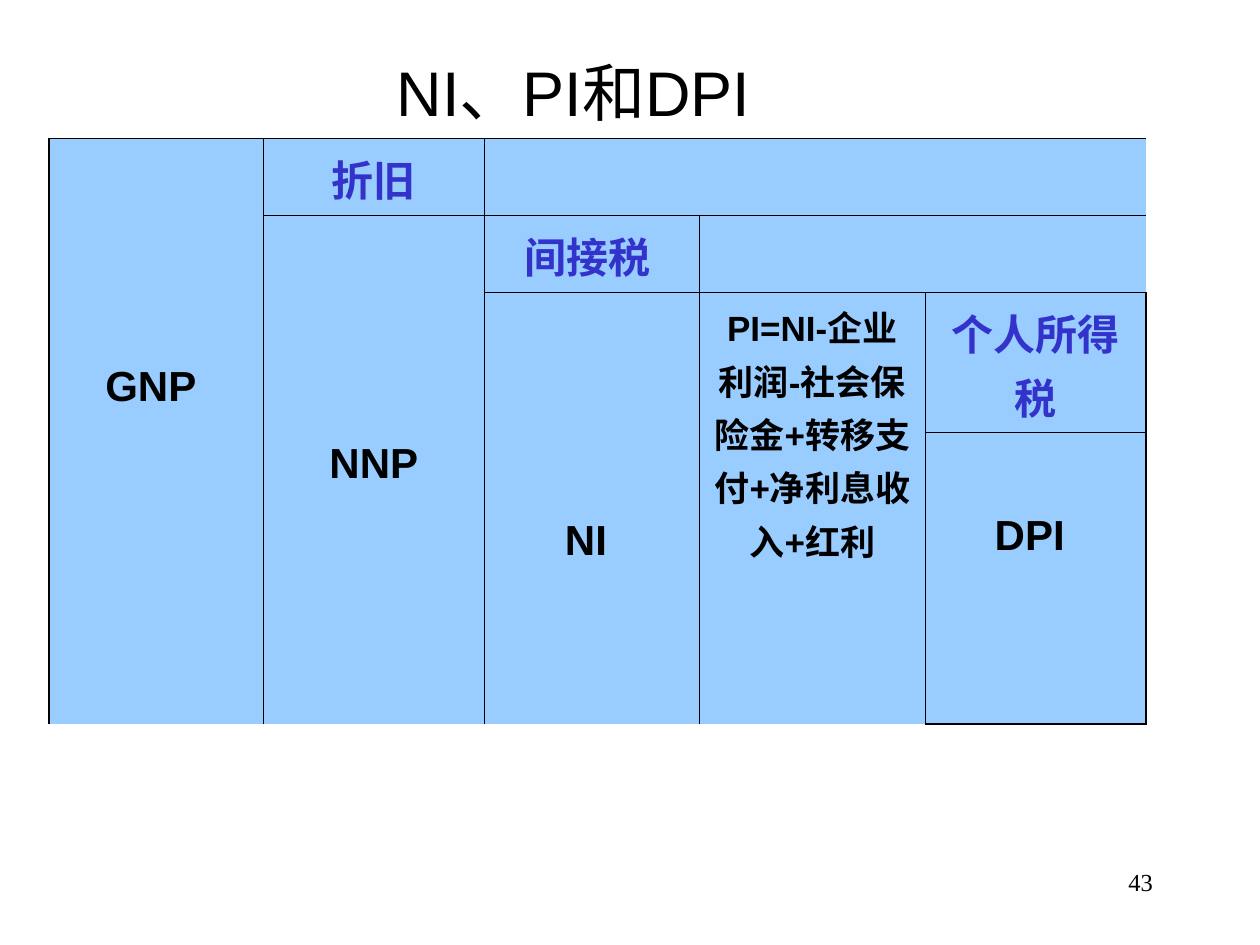
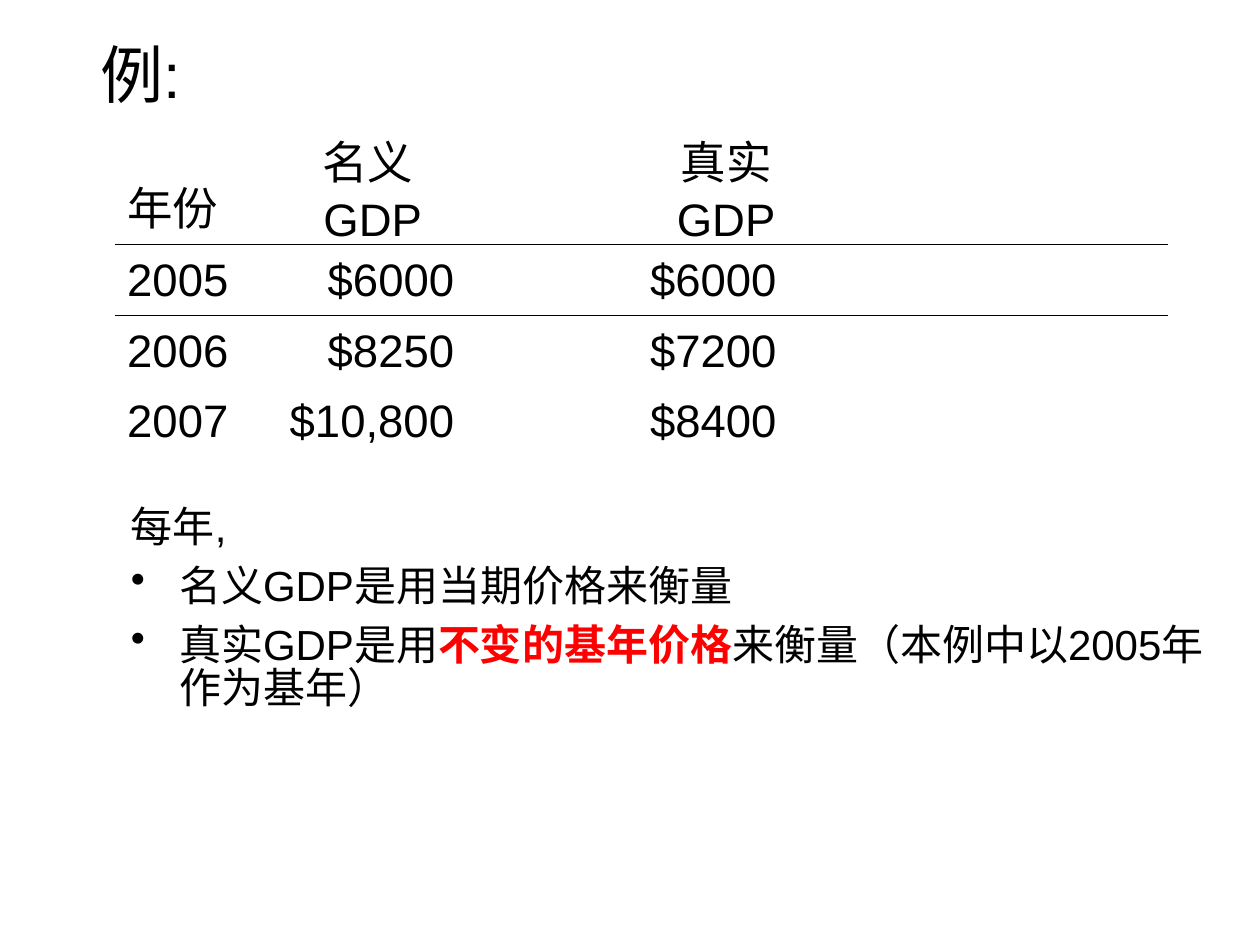
"""Two economics slides: from GNP to DPI, and nominal against real GDP."""
from lxml import etree
from pptx import Presentation
from pptx.dml.color import RGBColor
from pptx.enum.text import MSO_ANCHOR, PP_ALIGN
from pptx.oxml.ns import qn
from pptx.util import Cm, Pt

LEFT, CENTER, RIGHT = PP_ALIGN.LEFT, PP_ALIGN.CENTER, PP_ALIGN.RIGHT
TOP, MIDDLE, BOTTOM = MSO_ANCHOR.TOP, MSO_ANCHOR.MIDDLE, MSO_ANCHOR.BOTTOM
COLORS = {"text": "000000", "cell": "99CCFF", "deduction": "3333CC", "accent": "FF0000"}
THIN, THICK = 0.45, 1.08
PLAIN_TABLE = "{2D5ABB26-0587-4C30-8999-92F81FD0307C}"


class Deck:
    """Holds the shared style and the slide being built."""

    def __init__(self):
        self.presentation = Presentation()
        self.presentation.slide_width = Cm(25.4)
        self.presentation.slide_height = Cm(19.05)
        self.slide = None

    def add_slide(self):
        self.slide = self.presentation.slides.add_slide(self.presentation.slide_layouts[6])

    def style(self, font, size, color="text", bold=False, name="Arial"):
        font.name, font.size, font.bold = name, Pt(size), bold
        font.color.rgb = RGBColor.from_string(COLORS[color])

    def text_box(self, left, top, width, height, anchor=TOP):
        shape = self.slide.shapes.add_textbox(Cm(left), Cm(top), Cm(width), Cm(height))
        shape.text_frame.word_wrap = True
        shape.text_frame.vertical_anchor = anchor
        return shape.text_frame

    def line(self, text, left, top, width, height, size, align=LEFT, anchor=TOP, name="Arial"):
        paragraph = self.text_box(left, top, width, height, anchor).paragraphs[0]
        paragraph.text = text
        paragraph.alignment = align
        self.style(paragraph.font, size, name=name)

    def title(self, text, left, top, width, height, align=LEFT):
        self.line(text, left, top, width, height, 36, align, MIDDLE)

    def bullets(self, intro, items, left, top, width, height):
        frame = self.text_box(left, top, width, height)
        for index, runs in enumerate([intro, *items]):
            paragraph = frame.add_paragraph() if index else frame.paragraphs[0]
            paragraph.line_spacing = 0.85
            if index:
                paragraph.space_before = Pt(9)
                properties = paragraph._p.get_or_add_pPr()
                properties.set("marL", str(Cm(0.97)))
                properties.set("indent", str(Cm(-0.97)))
                etree.SubElement(properties, qn("a:buChar"), char="•")
            self.style(paragraph.font, 24)
            for text, accented in runs:
                run = paragraph.add_run()
                run.text = text
                if accented:
                    self.style(run.font, 24, "accent", True)

    def table(self, left, top, columns, rows):
        frame = self.slide.shapes.add_table(len(rows), len(columns), Cm(left), Cm(top),
                                            Cm(sum(columns)), Cm(sum(rows)))
        table = frame.table
        table.first_row = table.horz_banding = False
        table._tbl.tblPr.find(qn("a:tableStyleId")).text = PLAIN_TABLE
        for column, width in zip(table.columns, columns):
            column.width = Cm(width)
        for row, height in zip(table.rows, rows):
            row.height = Cm(height)
        return table

    def borders(self, cell, widths):
        properties = cell._tc.get_or_add_tcPr()
        for side in "LRTB":
            if side in widths:
                border = etree.SubElement(properties, qn(f"a:ln{side}"), w=str(Pt(widths[side])))
                fill = etree.SubElement(border, qn("a:solidFill"))
                etree.SubElement(fill, qn("a:srgbClr"), val=COLORS["text"])

    def fill(self, cell, color=None):
        if color:
            cell.fill.solid()
            cell.fill.fore_color.rgb = RGBColor.from_string(COLORS[color])
        else:
            cell.fill.background()

    def cell_text(self, cell, text, size, align=CENTER, anchor=TOP, color="text", bold=False):
        cell.vertical_anchor = anchor
        paragraph = cell.text_frame.paragraphs[0]
        paragraph.text = text
        paragraph.alignment = align
        paragraph.line_spacing = 1.05
        self.style(paragraph.font, size, color, bold)

    def region(self, table, row, column, height, width, open_sides=""):
        """Merge a block of cells, fill it and draw its outline."""
        last_row, last_column = row + height - 1, column + width - 1
        origin = table.cell(row, column)
        if height * width > 1:
            origin.merge(table.cell(last_row, last_column))
        row_end, column_end = len(table.rows) - 1, len(table.columns) - 1
        for r in range(row, last_row + 1):
            for c in range(column, last_column + 1):
                edges = {"L": (c, column, 0), "R": (c, last_column, column_end),
                         "T": (r, row, 0), "B": (r, last_row, row_end)}
                widths = {side: THICK if place == outer else THIN
                          for side, (place, edge, outer) in edges.items()
                          if place == edge and side not in open_sides}
                self.borders(table.cell(r, c), widths)
                self.fill(table.cell(r, c), "cell")
        return origin


def income_slide(deck):
    """Show how each income measure follows from the one before."""
    deck.add_slide()
    deck.line("43", 18.21, 17.35, 5.28, 1.27, 14, RIGHT, name="Times New Roman")
    deck.title("NI、PI和DPI", 0.13, 0.25, 22.86, 3.18, CENTER)
    table = deck.table(0.99, 2.79, [4.32, 4.45, 4.34, 4.55, 4.45], [1.55, 1.55, 2.82, 5.89])
    deck.region(table, 0, 2, 1, 3, "B")
    deck.region(table, 1, 3, 1, 2, "LT")
    deductions = [(0, 1, "折旧"), (1, 2, "间接税 "), (2, 4, "个人所得税")]
    for row, column, text in deductions:
        cell = deck.region(table, row, column, 1, 1)
        deck.cell_text(cell, text, 24, color="deduction", bold=True)
    measures = [
        (0, 0, 4, "GNP ", 24, 4.5),
        (1, 1, 3, "NNP", 24, 4.5),
        (2, 2, 2, "NI ", 24, 4.5),
        (2, 3, 2, "PI=NI-企业利润-社会保险金+转移支付+净利息收入+红利", 20, 0.13),
        (3, 4, 1, "DPI ", 24, 1.57),
    ]
    for row, column, height, text, size, margin in measures:
        cell = deck.region(table, row, column, height, 1)
        cell.margin_top = Cm(margin)
        deck.cell_text(cell, text, size, bold=True)


def gdp_slide(deck):
    """Compare nominal and real GDP over three years."""
    deck.add_slide()
    deck.title("例:", 1.78, 0.69, 16.97, 1.57)
    deck.bullets([("每年,", False)],
                 [[("名义GDP是用当期价格来衡量", False)],
                  [("真实GDP是用", False), ("不变的基年价格", True),
                   ("来衡量（本例中以2005年作为基年）", False)]],
                 2.39, 10.13, 22.38, 7.52)
    records = [
        ("年份", "名义 \vGDP", "", "真实\vGDP", ""),
        ("2005", "$6000", "", "$6000", ""),
        ("2006", "$8250", "", "$7200", ""),
        ("2007", "$10,800", "", "$8400", ""),
    ]
    table = deck.table(2.31, 2.36, [2.92, 4.57, 3.05, 3.58, 7.11], [2.57, 1.42, 1.42, 1.42])
    for row, record in enumerate(records):
        for column, text in enumerate(record):
            cell = table.cell(row, column)
            if row < 2:
                deck.borders(cell, {"T" if row else "B": THIN})
            deck.fill(cell)
            if not text:
                continue
            if row == 0:
                deck.cell_text(cell, text, 26, CENTER if column else LEFT, BOTTOM)
            else:
                deck.cell_text(cell, text, 26, RIGHT if column == 1 else LEFT, MIDDLE)
                if column == 1:
                    cell.margin_right = Cm(0.64)


def main():
    """Build both slides and save them."""
    deck = Deck()
    income_slide(deck)
    gdp_slide(deck)
    deck.presentation.save("out.pptx")


if __name__ == "__main__":
    main()
